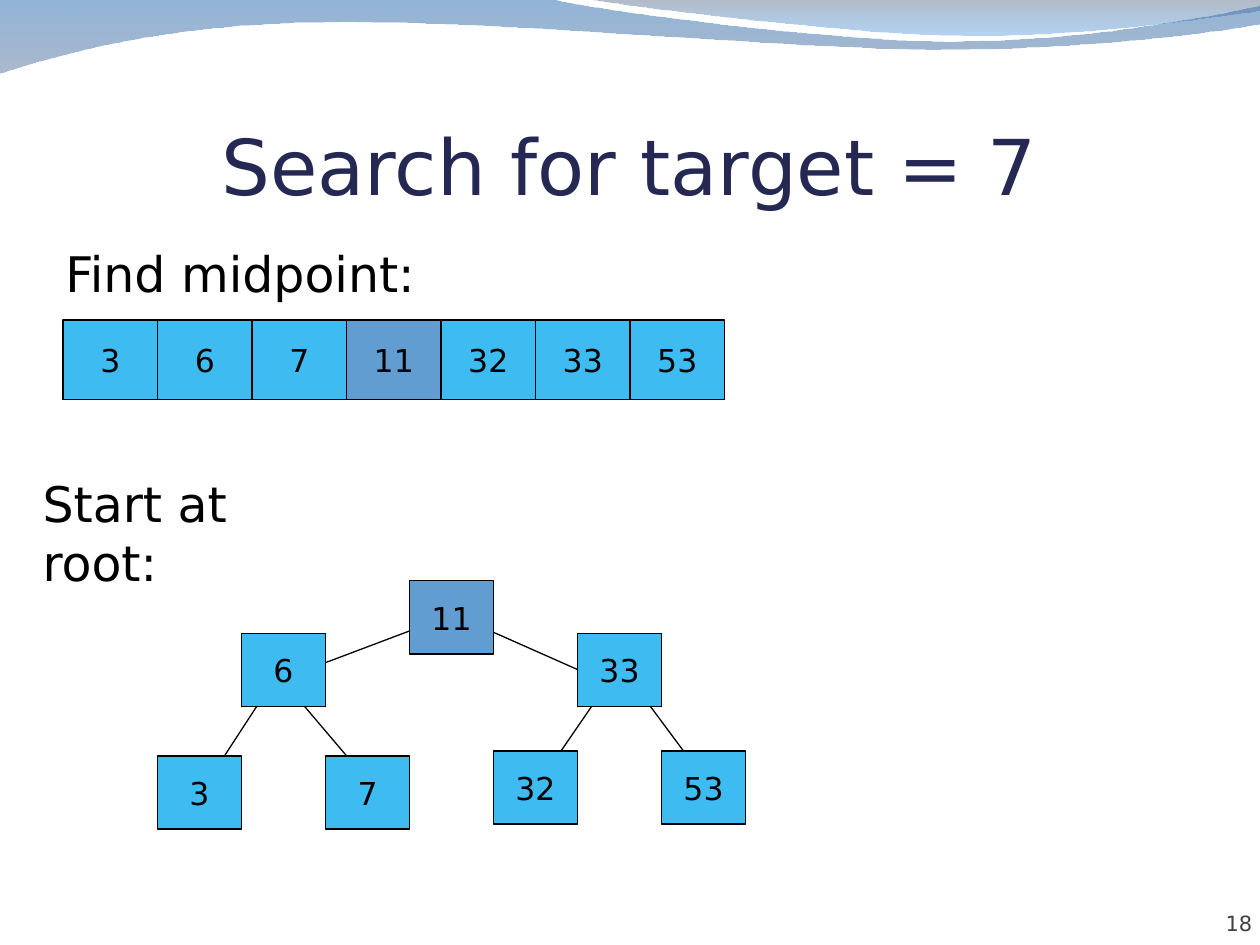
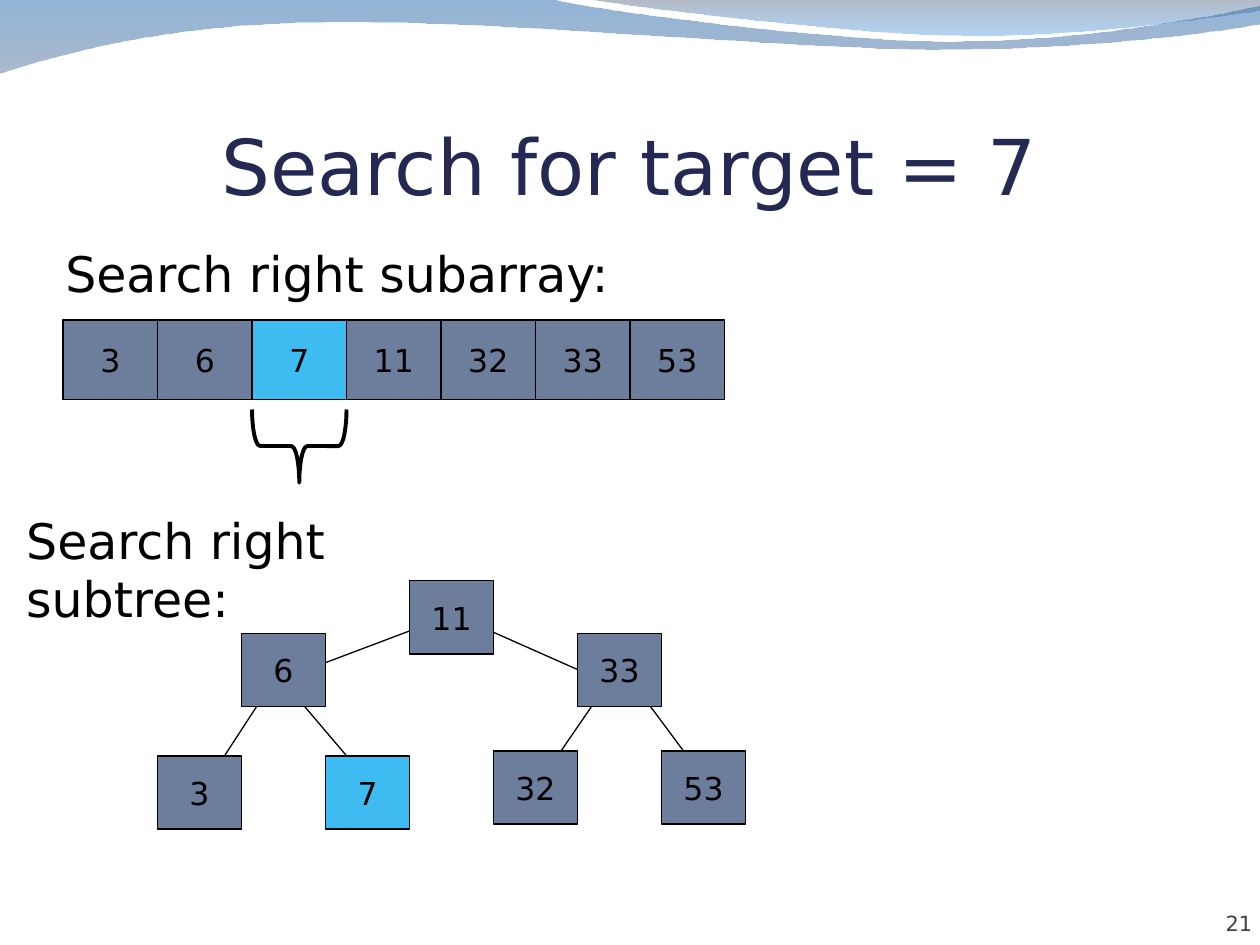
from lxml.etree import SubElement
from pptx import Presentation
from pptx.dml.color import RGBColor
from pptx.enum.shapes import MSO_CONNECTOR, MSO_SHAPE
from pptx.enum.text import MSO_ANCHOR, PP_ALIGN
from pptx.oxml.ns import qn
from pptx.util import Inches, Pt

FONT = "DejaVu Sans"
BLACK = RGBColor(0x00, 0x00, 0x00)
NAVY = RGBColor(0x24, 0x28, 0x52)
GREY = RGBColor(0x42, 0x42, 0x42)
ACTIVE = RGBColor(0x3E, 0xBB, 0xF0)
MIDPOINT = RGBColor(0x62, 0x9D, 0xD1)
DISCARDED = RGBColor(0x6C, 0x7E, 0x9C)

TITLE = "Search for target = 7"
VALUES = [3, 6, 7, 11, 32, 33, 53]
NODE_TOPS = {11: 4.61, 6: 5.03, 33: 5.03, 3: 6, 7: 6, 32: 5.96, 53: 5.96}
EDGES = [
    ((3.43, 4.94), (2.37, 5.34)),
    ((3.74, 4.94), (4.8, 5.41)),
    ((2.12, 5.48), (1.69, 6.14)),
    ((2.31, 5.48), (2.93, 6.21)),
    ((4.92, 5.28), (4.24, 6.27)),
    ((4.92, 5.28), (5.61, 6.21)),
]

STEPS = [
    dict(number=18, array_caption="Find midpoint:",
         tree_caption="Start at root:", tree_caption_box=(0.24, 3.71, 2.5, 1.03),
         base=ACTIVE, highlights={11: MIDPOINT}, braced=None),
    dict(number=21, array_caption="Search right subarray:",
         tree_caption="Search right subtree:", tree_caption_box=(0.11, 4, 4.02, 1.03),
         base=DISCARDED, highlights={7: ACTIVE}, braced=7),
]

WAVES = [
    dict(start=(0, 0),
         segments=[
             [(4.4, 0)],
             [(4.76, 0.09), (6.64, 0.33), (7.58, 0.33)],
             [(8.53, 0.33), (9.58, 0.14), (10, 0.05)],
             [(10.01, 0.19)],
             [(9.83, 0.23), (8.7, 0.39), (7.46, 0.39)],
             [(6.22, 0.39), (3.82, 0.15), (2.57, 0.18)],
             [(1.29, 0.19), (0.46, 0.43), (-0.01, 0.58)],
         ],
         stops=[(RGBColor(0x0E, 0x5C, 0xA9), 45), (RGBColor(0x68, 0x7F, 0xA3), 55)]),
    dict(start=(4.67, 0),
         segments=[
             [(4.98, 0.05), (6.74, 0.27), (7.63, 0.28)],
             [(8.52, 0.3), (9.61, 0.14), (10, 0.09)],
             [(10, 0)],
         ],
         stops=[(RGBColor(0x57, 0x66, 0x80), 45), (RGBColor(0x04, 0x6F, 0xDA), 30)]),
]

ARRAY_LEFT, ARRAY_TOP, CELL_WIDTH, CELL_HEIGHT = 0.5, 2.54, 0.75, 0.63
TREE_LEFT, NODE_WIDTH, NODE_HEIGHT = 1.25, 2 / 3, 0.58
BRACE_TOP, BRACE_DEPTH = 3.25, 0.58


def inches(*lengths):
    return [Inches(length) for length in lengths]


def write(frame, text, size, color, align=PP_ALIGN.LEFT, anchor=MSO_ANCHOR.TOP):
    frame.text = text
    frame.word_wrap = True
    frame.vertical_anchor = anchor
    paragraph = frame.paragraphs[0]
    paragraph.alignment = align
    font = paragraph.runs[0].font
    font.name, font.size, font.color.rgb = FONT, Pt(size), color


def set_margins(frame, top=0):
    frame.margin_left = frame.margin_right = frame.margin_bottom = 0
    frame.margin_top = Inches(top)


def add_caption(slide, text, box):
    write(slide.shapes.add_textbox(*inches(*box)).text_frame, text, 28, BLACK)


def bend(wave, segments):
    contour = next(wave.element.iter(qn("a:path")))
    steps = iter(contour.findall(qn("a:lnTo")))
    for segment in segments:
        first, *others = [next(steps) for _ in segment]
        if others:
            first.tag = qn("a:cubicBezTo")
        for other in others:
            first.append(other[0])
            contour.remove(other)


def add_wave(slide, start, segments, stops):
    builder = slide.shapes.build_freeform(*inches(*start))
    builder.add_line_segments([inches(*point) for segment in segments for point in segment])
    wave = builder.convert_to_shape()
    bend(wave, segments)
    wave.shadow.inherit = False
    wave.line.fill.background()
    wave.fill.gradient()
    wave.fill.gradient_angle = 270
    for stop, (color, _) in zip(wave.fill.gradient_stops, stops):
        stop.color.rgb = color
    for color, (_, opacity) in zip(wave.element.iter(qn("a:srgbClr")), stops):
        SubElement(color, qn("a:alpha")).set("val", str(opacity * 1000))
    return wave


def add_value_box(slide, value, box, color):
    cell = slide.shapes.add_shape(MSO_SHAPE.RECTANGLE, *inches(*box))
    cell.shadow.inherit = False
    cell.fill.solid()
    cell.fill.fore_color.rgb = color
    cell.line.color.rgb = BLACK
    cell.line.width = Pt(0.75)
    write(cell.text_frame, str(value), 18, BLACK, PP_ALIGN.CENTER, MSO_ANCHOR.MIDDLE)


def cell_left(value):
    return ARRAY_LEFT + VALUES.index(value) * CELL_WIDTH


def add_array(slide, colors):
    for value in VALUES:
        add_value_box(slide, value,
                      (cell_left(value), ARRAY_TOP, CELL_WIDTH, CELL_HEIGHT), colors[value])


def add_tree(slide, colors):
    for parent_end, child_end in EDGES:
        edge = slide.shapes.add_connector(
            MSO_CONNECTOR.STRAIGHT, *inches(*parent_end, *child_end))
        edge.line.color.rgb = BLACK
        edge.line.width = Pt(0.75)
        SubElement(edge.element.spPr, qn("a:effectLst"))
    for column, value in enumerate(VALUES):
        left = TREE_LEFT + column * NODE_WIDTH
        add_value_box(slide, value,
                      (left, NODE_TOPS[value], NODE_WIDTH, NODE_HEIGHT), colors[value])


def add_brace(slide, value):
    shift = (CELL_WIDTH - BRACE_DEPTH) / 2
    brace = slide.shapes.add_shape(
        MSO_SHAPE.RIGHT_BRACE,
        *inches(cell_left(value) + shift, BRACE_TOP - shift, BRACE_DEPTH, CELL_WIDTH))
    brace.rotation = 90
    brace.adjustments[0] = 0.11
    brace.shadow.inherit = False
    brace.fill.background()
    brace.line.color.rgb = BLACK
    brace.line.width = Pt(2.25)


def add_step(deck, layout, step):
    slide = deck.slides.add_slide(layout)
    title = slide.shapes.title.text_frame
    write(title, TITLE, 44, NAVY, PP_ALIGN.CENTER, MSO_ANCHOR.BOTTOM)
    set_margins(title, top=0.05)

    number = slide.shapes.add_textbox(*inches(9.11, 7.03, 0.83, 0.4)).text_frame
    write(number, str(step["number"]), 12, GREY, PP_ALIGN.RIGHT, MSO_ANCHOR.BOTTOM)
    set_margins(number)

    colors = {value: step["highlights"].get(value, step["base"]) for value in VALUES}
    add_caption(slide, step["tree_caption"], step["tree_caption_box"])
    add_caption(slide, step["array_caption"], (0.42, 1.88, 6.92, 0.56))
    add_array(slide, colors)
    add_tree(slide, colors)
    if step["braced"]:
        add_brace(slide, step["braced"])
    return slide


def main():
    deck = Presentation()
    deck.slide_width, deck.slide_height = inches(10, 7.5)
    layout = deck.slide_layouts.get_by_name("Title Only")
    heading = layout.placeholders[0]
    heading.left, heading.top, heading.width, heading.height = inches(0.75, 0.42, 8.5, 1.25)

    slides = [add_step(deck, layout, step) for step in STEPS]
    for depth, wave in enumerate(WAVES, start=2):
        layout.shapes.element.insert(depth, add_wave(slides[0], **wave).element)
    deck.save("out.pptx")


if __name__ == "__main__":
    main()
